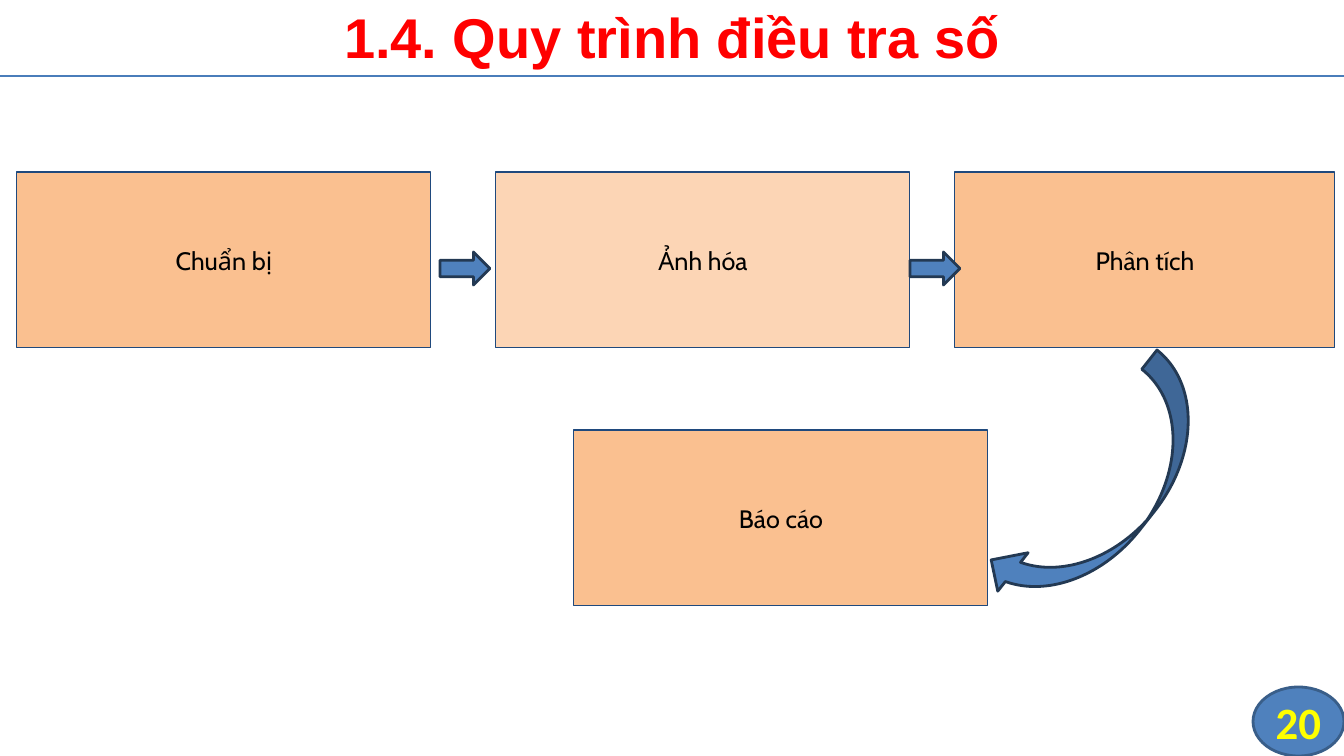
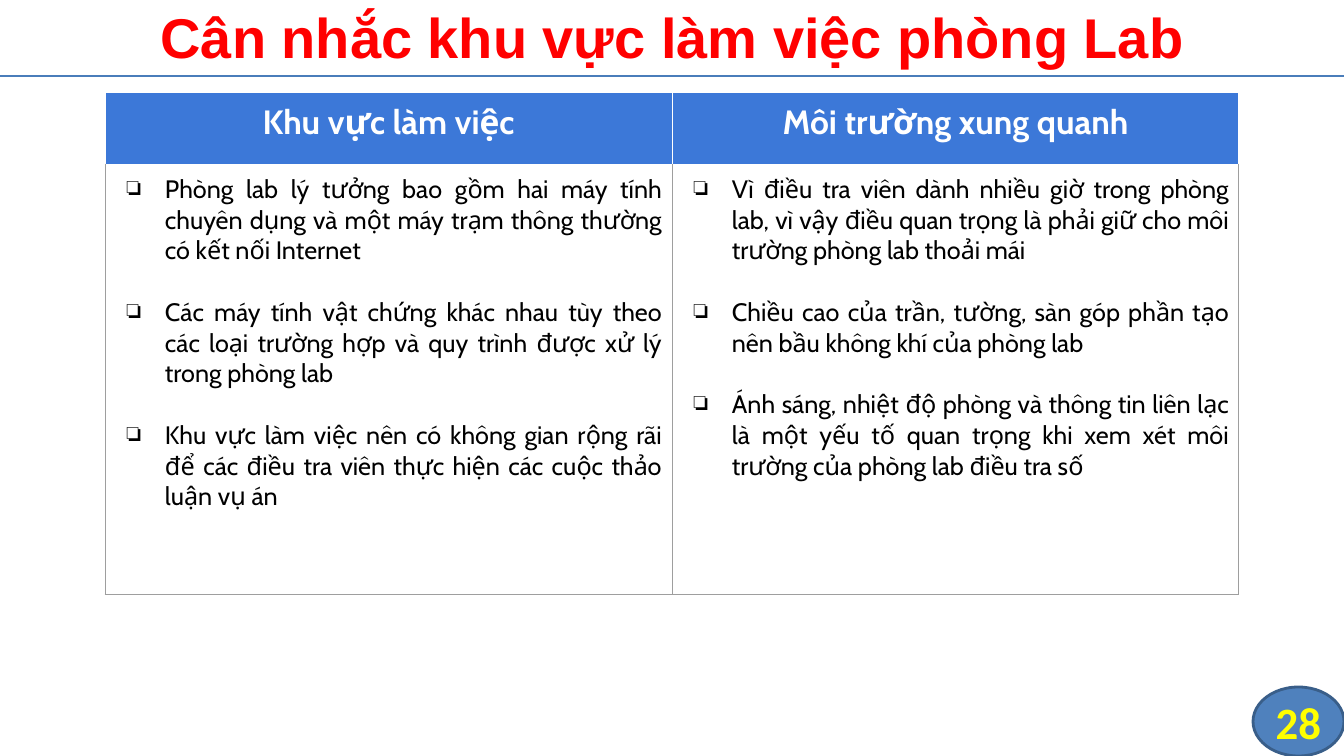
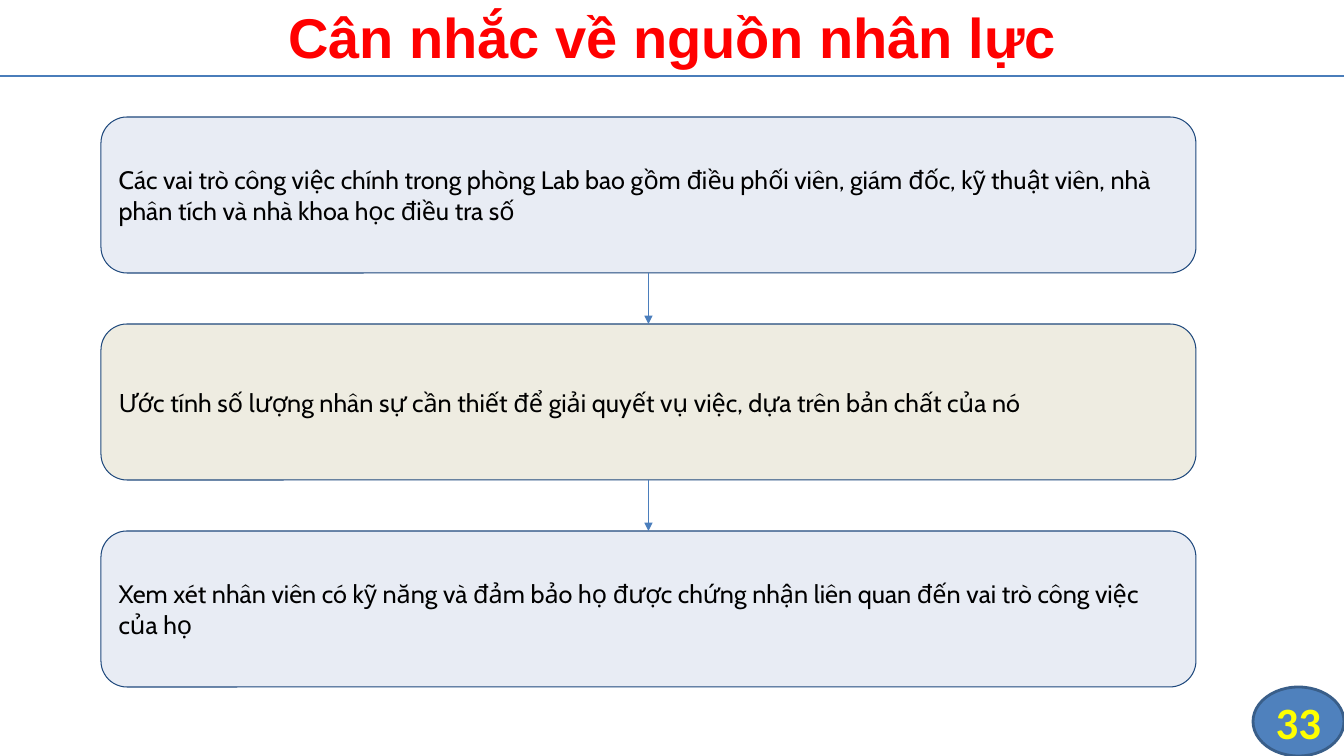
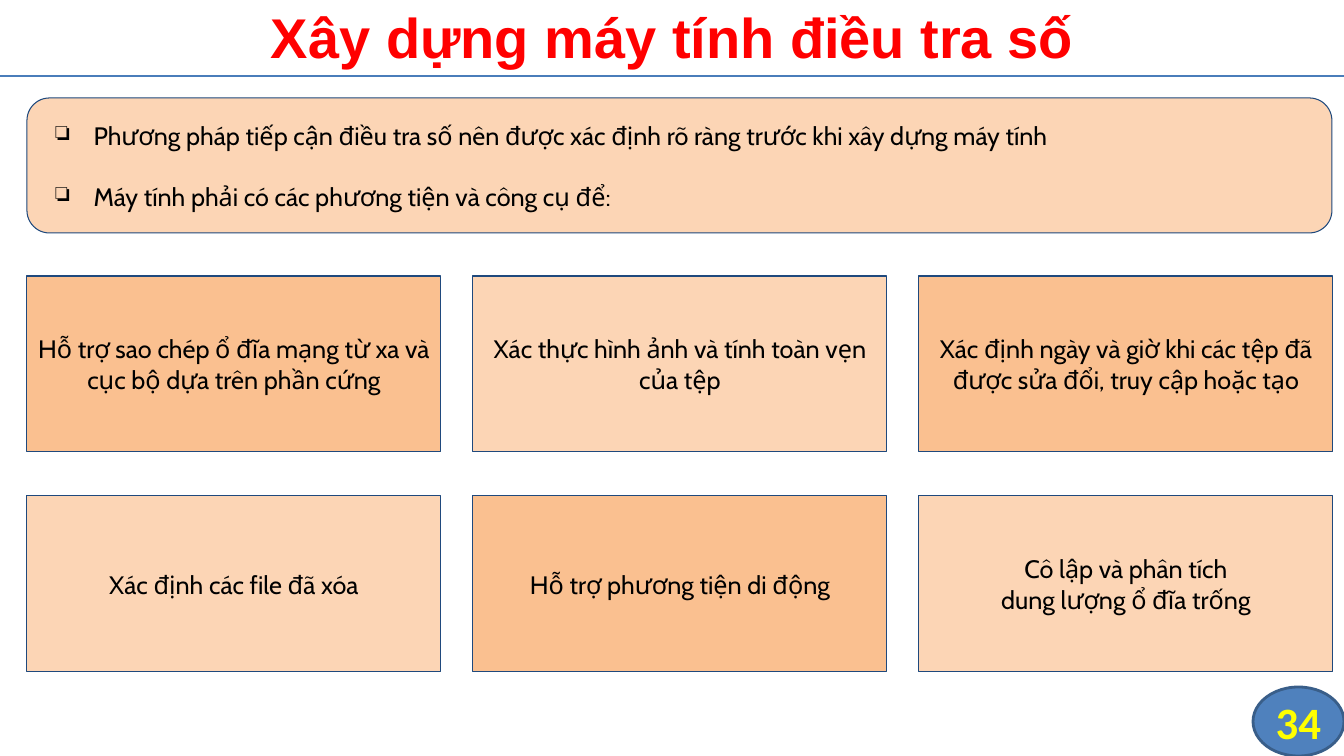
from lxml import etree
from pptx import Presentation
from pptx import util as u
from pptx.dml.color import RGBColor
from pptx.enum import shapes, text
from pptx.oxml import ns

WIDTH, HEIGHT = 1344, 756
EMU_PER_PX = 12192000 / WIDTH
COLORS = {
    "title": "FF0000", "number": "FFFF00", "ink": "000000", "white": "FFFFFF",
    "blue": "4F81BD", "badge_edge": "395E89", "arrow_edge": "233953",
    "rule": "4A7DBA", "link": "4B7EBC", "edge": "1F497D",
    "orange": "FAC090", "peach": "FCD5B5", "mist": "E8ECF4", "sand": "EEECE1",
    "header": "3C78D8", "grid": "9E9E9E",
}
SHAPE, ALIGN = shapes.MSO_SHAPE, text.PP_ALIGN
MIDDLE, TOP = text.MSO_ANCHOR.MIDDLE, text.MSO_ANCHOR.TOP


def px(*lengths):
    return [u.Emu(round(length * EMU_PER_PX)) for length in lengths]


def rgb(name):
    return RGBColor.from_string(COLORS[name])


def add_xml(parent, tag, **attributes):
    return etree.SubElement(parent, ns.qn(tag), attributes)


def add_bullet(paragraph):
    properties = paragraph._p.get_or_add_pPr()
    margin, indent = px(50, -38)
    properties.set("marL", str(margin))
    properties.set("indent", str(indent))
    color = add_xml(properties, "a:buClr")
    add_xml(color, "a:srgbClr", val=COLORS["ink"])
    add_xml(properties, "a:buChar", char="❏")


def write(holder, lines, size=18, font="Cabin", color="ink", bold=False,
          align=ALIGN.CENTER, anchor=MIDDLE, inset=(10, 10), bullet=False, gap=0):
    """Fill a text frame or a table cell with one paragraph per line."""
    holder.margin_left = holder.margin_right = px(inset[0])[0]
    holder.margin_top = holder.margin_bottom = px(inset[1])[0]
    holder.vertical_anchor = anchor
    frame = getattr(holder, "text_frame", holder)
    frame.word_wrap = True
    for index, line in enumerate(lines):
        paragraph = frame.add_paragraph() if index else frame.paragraphs[0]
        paragraph.alignment = align
        if bullet:
            add_bullet(paragraph)
        if index and gap:
            paragraph.space_before = u.Pt(gap)
        run = paragraph.add_run()
        run.text = line
        run.font.size, run.font.name, run.font.bold = u.Pt(size), font, bold
        run.font.color.rgb = rgb(color)


class Deck:
    def __init__(self):
        self.show = Presentation()
        self.show.slide_width, self.show.slide_height = px(WIDTH, HEIGHT)
        self.slide = None

    def start(self, title, number):
        """New slide with its badge, rule and title."""
        self.slide = self.show.slides.add_slide(self.show.slide_layouts[6])
        badge = self.shape(SHAPE.FLOWCHART_CONNECTOR, (1253, 687, 91, 69), "blue",
                           "badge_edge", 2)
        write(badge.text_frame, [str(number)], size=32, font="Calibri",
              color="number", bold=True, inset=(0, 0))
        self.line((0, 76), (WIDTH, 76), "rule")
        heading = self.slide.shapes.add_textbox(*px(0, -3, WIDTH, 79))
        write(heading.text_frame, [title], size=40, font="Arial", color="title",
              bold=True, inset=(10, 5))

    def shape(self, kind, box, fill, edge="edge", weight=0.75):
        shape = self.slide.shapes.add_shape(kind, *px(*box))
        shape.shadow.inherit = False
        shape.fill.solid()
        shape.fill.fore_color.rgb = rgb(fill)
        shape.line.color.rgb = rgb(edge)
        shape.line.width = u.Pt(weight)
        return shape

    def box(self, box, fill, lines, kind=SHAPE.RECTANGLE, **style):
        write(self.shape(kind, box, fill).text_frame, lines, **style)

    def block_arrow(self, kind, box, rotation=0):
        self.shape(kind, box, "blue", "arrow_edge", 2).rotation = rotation

    def line(self, start, end, color, arrow=False):
        line = self.slide.shapes.add_connector(
            shapes.MSO_CONNECTOR.STRAIGHT, *px(*start, *end))
        line.line.color.rgb = rgb(color)
        line.line.width = u.Pt(0.75)
        properties = line._element.spPr
        if arrow:
            add_xml(properties.find(ns.qn("a:ln")), "a:tailEnd", type="triangle")
        add_xml(properties, "a:effectLst")

    def borders(self, cell, **sides):
        properties = cell._tc.get_or_add_tcPr()
        for index, (side, color) in enumerate(sides.items()):
            border = add_xml(properties, f"a:ln{side}", w=str(u.Pt(0.75)))
            fill = add_xml(border, "a:solidFill")
            add_xml(fill, "a:srgbClr", val=COLORS[color])
            properties.insert(index, border)

    def table(self, box, heights, columns):
        table = self.slide.shapes.add_table(2, len(columns), *px(*box)).table
        table.first_row = table.horz_banding = False
        for row, height in zip(table.rows, px(*heights)):
            row.height = height
        for index, (heading, items) in enumerate(columns):
            header, body = table.cell(0, index), table.cell(1, index)
            header.fill.solid()
            header.fill.fore_color.rgb = rgb("header")
            body.fill.background()
            self.borders(header, L="white", R="white", T="white", B="white")
            self.borders(body, L="grid", R="grid", T="white", B="grid")
            write(header, [heading], size=24, color="white", bold=True, anchor=TOP)
            write(body, items, align=ALIGN.JUSTIFY, anchor=TOP, bullet=True, gap=22)


def process_slide(deck):
    deck.start("1.4. Quy trình điều tra số", 20)
    for box, fill, step in [
        ((17, 172, 414, 176), "orange", "Chuẩn bị"),
        ((496, 172, 414, 176), "peach", "Ảnh hóa"),
        ((955, 172, 380, 176), "orange", "Phân tích"),
        ((574, 430, 414, 176), "orange", "Báo cáo"),
    ]:
        deck.box(box, fill, [step])
    for left in (440, 910):
        deck.block_arrow(SHAPE.RIGHT_ARROW, (left, 252, 50, 33))
    deck.block_arrow(SHAPE.CURVED_LEFT_ARROW, (1056, 349, 98, 292), 38.3)


def workspace_slide(deck):
    deck.start("Cân nhắc khu vực làm việc phòng Lab", 28)
    deck.table((105, 92, 1134, 502), (72, 430), [
        ("Khu vực làm việc", [
            "Phòng lab lý tưởng bao gồm hai máy tính chuyên dụng và một máy trạm "
            "thông thường có kết nối Internet",
            "Các máy tính vật chứng khác nhau tùy theo các loại trường hợp và quy "
            "trình được xử lý trong phòng lab",
            "Khu vực làm việc nên có không gian rộng rãi để các điều tra viên thực "
            "hiện các cuộc thảo luận vụ án",
        ]),
        ("Môi trường xung quanh", [
            "Vì điều tra viên dành nhiều giờ trong phòng lab, vì vậy điều quan trọng "
            "là phải giữ cho môi trường phòng lab thoải mái",
            "Chiều cao của trần, tường, sàn góp phần tạo nên bầu không khí của "
            "phòng lab",
            "Ánh sáng, nhiệt độ phòng và thông tin liên lạc là một yếu tố quan trọng "
            "khi xem xét môi trường của phòng lab điều tra số",
        ]),
    ])


def staff_slide(deck):
    deck.start("Cân nhắc về nguồn nhân lực", 33)
    left, top, width, height, pitch = 101, 117, 1095, 156, 207
    center = left + width / 2
    for index, (fill, advice) in enumerate([
        ("mist", "Các vai trò công việc chính trong phòng Lab bao gồm điều phối viên, "
                 "giám đốc, kỹ thuật viên, nhà phân tích và nhà khoa học điều tra số"),
        ("sand", "Ước tính số lượng nhân sự cần thiết để giải quyết vụ việc, dựa trên "
                 "bản chất của nó"),
        ("mist", "Xem xét nhân viên có kỹ năng và đảm bảo họ được chứng nhận liên quan "
                 "đến vai trò công việc của họ"),
    ]):
        y = top + index * pitch
        deck.box((left, y, width, height), fill, [advice],
                 kind=SHAPE.ROUNDED_RECTANGLE, align=ALIGN.LEFT)
        if index:
            deck.line((center, y - pitch + height), (center, y), "link", arrow=True)


def computer_slide(deck):
    deck.start("Xây dựng máy tính điều tra số", 34)
    deck.box((27, 98, 1305, 135), "peach", [
        "Phương pháp tiếp cận điều tra số nên được xác định rõ ràng trước khi xây dựng "
        "máy tính",
        "Máy tính phải có các phương tiện và công cụ để:",
    ], kind=SHAPE.ROUNDED_RECTANGLE, align=ALIGN.LEFT, bullet=True, gap=22)

    # Grid of functions in alternating fills
    for index, function in enumerate([
        ["Hỗ trợ sao chép ổ đĩa mạng từ xa và cục bộ dựa trên phần cứng"],
        ["Xác thực hình ảnh và tính toàn vẹn của tệp"],
        ["Xác định ngày và giờ khi các tệp đã được sửa đổi, truy cập hoặc tạo"],
        ["Xác định các file đã xóa"],
        ["Hỗ trợ phương tiện di động"],
        ["Cô lập và phân tích", "dung lượng ổ đĩa trống"],
    ]):
        row, column = divmod(index, 3)
        deck.box((27 + column * 446, 276 + row * 220, 414, 176),
                 ("orange", "peach")[index % 2], function)


def main():
    deck = Deck()
    for build in (process_slide, workspace_slide, staff_slide, computer_slide):
        build(deck)
    deck.show.save("out.pptx")


if __name__ == "__main__":
    main()
